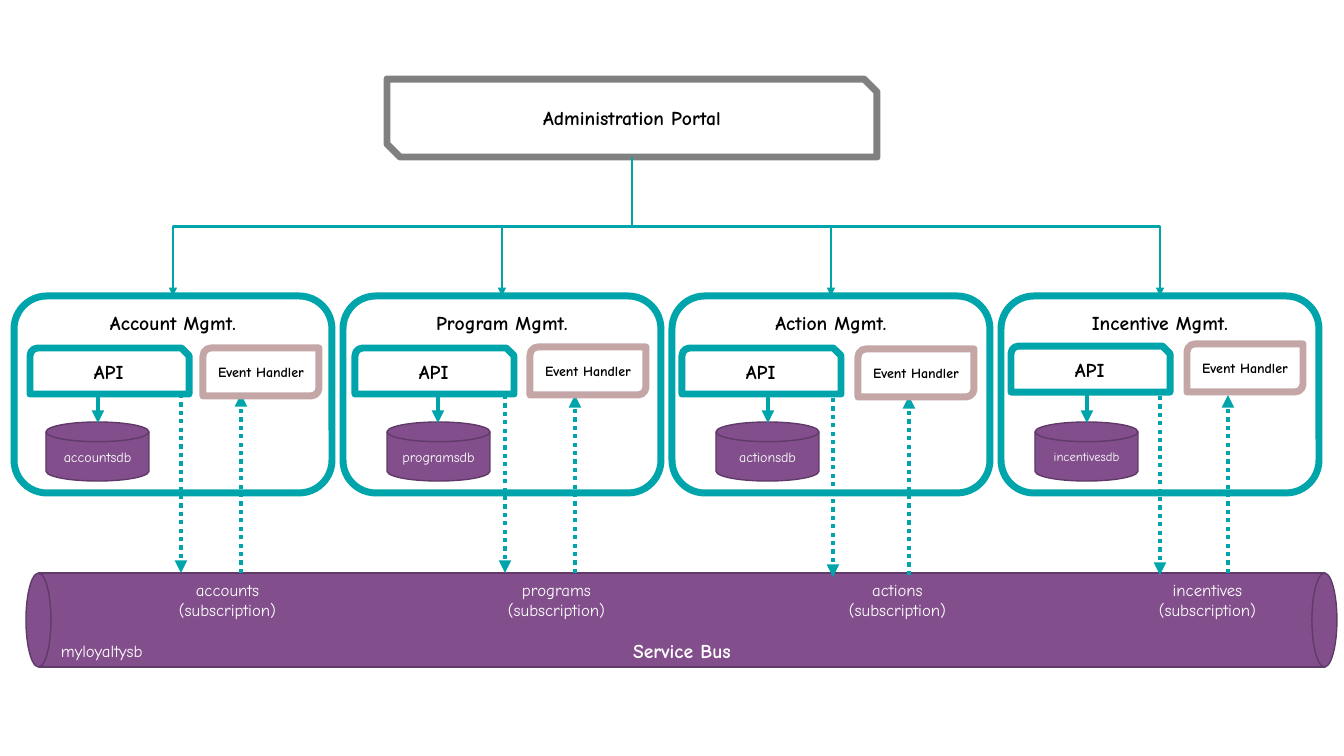
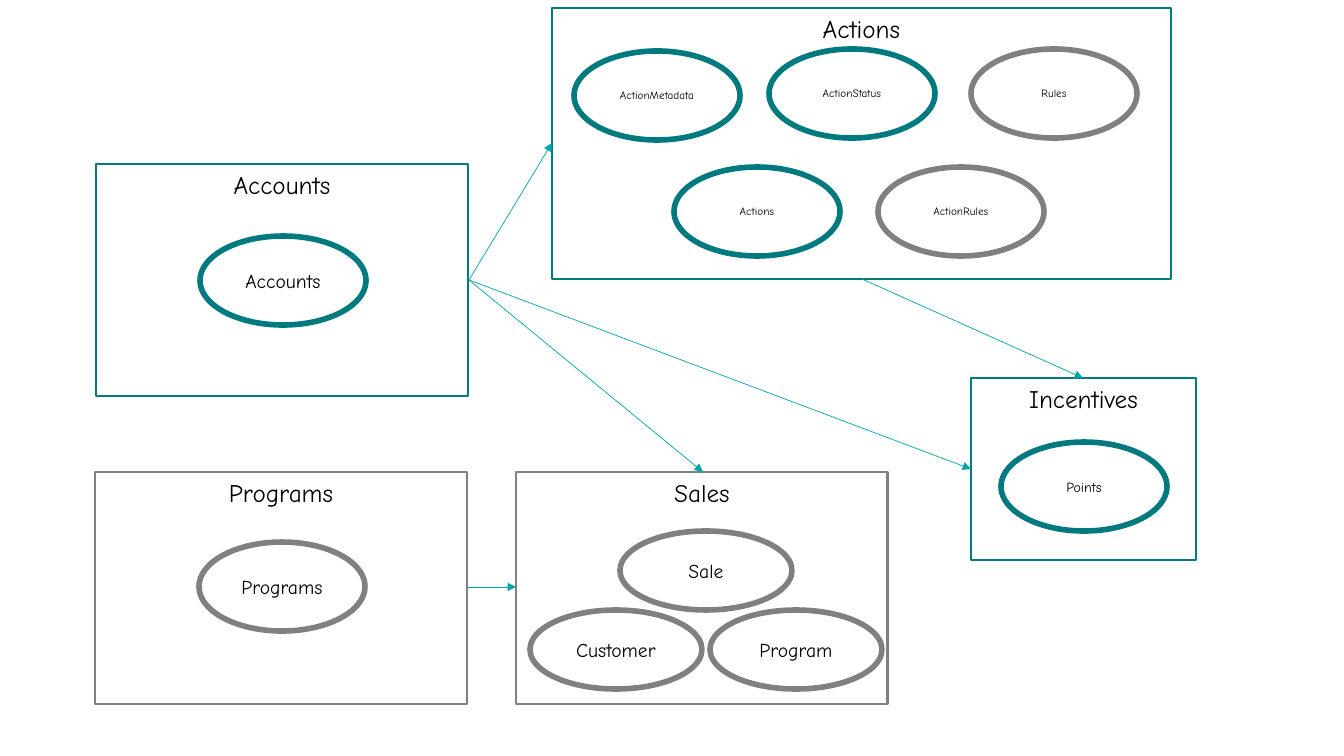
from lxml.etree import SubElement
from pptx import Presentation
from pptx.dml.color import RGBColor
from pptx.enum.dml import MSO_LINE
from pptx.enum.shapes import MSO_CONNECTOR, MSO_SHAPE
from pptx.enum.text import MSO_ANCHOR, MSO_AUTO_SIZE, PP_ALIGN
from pptx.oxml.ns import qn
from pptx.util import Emu, Pt

FONT = "Comic Neue"
BLACK, WHITE, GRAY = "000000", "FFFFFF", "808080"
TEAL, FRAME_TEAL, OVAL_TEAL = "00A5AB", "007C80", "007A7F"
PURPLE, PLUM, ROSE = "824F8C", "603A68", "C4A6A6"


def px(length):
    """Convert pixels to EMU."""
    return Emu(round(length * 914400 / 100.8))


def color(value):
    """Convert a hex string to a colour."""
    return RGBColor.from_string(value)


class Diagram:
    """Hold the deck, its style and the current page."""

    def __init__(self):
        """Start an empty widescreen deck."""
        self.deck = Presentation()
        self.deck.slide_width, self.deck.slide_height = px(1344), px(756)
        self.page = None

    def new_page(self):
        """Add a blank page and make it current."""
        self.page = self.deck.slides.add_slide(self.deck.slide_layouts[6])

    def set_text(self, frame, text, size, ink, bold=False, align=PP_ALIGN.CENTER):
        """Fill a text frame with one paragraph per line."""
        for index, words in enumerate(text.split("\n")):
            para = frame.add_paragraph() if index else frame.paragraphs[0]
            para.text = words
            para.alignment = align
            para.font.name, para.font.size = FONT, Pt(size)
            para.font.bold = bold
            para.font.color.rgb = color(ink)

    def shape(self, kind, at, line, weight, text="", size=14, fill=None,
              ink=BLACK, bold=False, anchor=MSO_ANCHOR.MIDDLE):
        """Draw an outlined shape with an optional label."""
        box = self.page.shapes.add_shape(kind, *map(px, at))
        box.shadow.inherit = False
        if fill:
            box.fill.solid()
            box.fill.fore_color.rgb = color(fill)
        else:
            box.fill.background()
        box.line.color.rgb = color(line)
        box.line.width = Pt(weight)
        if text:
            box.text_frame.vertical_anchor = anchor
            self.set_text(box.text_frame, text, size, ink, bold)
        return box

    def label(self, at, text, align=PP_ALIGN.CENTER):
        """Place white free text."""
        frame = self.page.shapes.add_textbox(*map(px, at)).text_frame
        frame.word_wrap = False
        frame.auto_size = MSO_AUTO_SIZE.SHAPE_TO_FIT_TEXT
        self.set_text(frame, text, 12, WHITE, align=align)

    def arrow(self, start, end, weight, dotted=False, kind=MSO_CONNECTOR.STRAIGHT):
        """Draw a teal arrow between two points."""
        link = self.page.shapes.add_connector(kind, *map(px, start + end))
        link.line.color.rgb = color(TEAL)
        link.line.width = Pt(weight)
        if dotted:
            link.line.dash_style = MSO_LINE.ROUND_DOT
        properties = link.element.spPr
        SubElement(properties.find(qn("a:ln")), qn("a:tailEnd"), type="triangle")
        SubElement(properties, qn("a:effectLst"))
        return link

    def branch(self, start, end):
        """Draw an elbow arrow that leaves and arrives vertically."""
        (left, top), (right, bottom) = start, end
        side = 1 if right < left else -1
        center, middle = (left + right) / 2, (top + bottom) / 2
        along, across = side * (bottom - top) / 2, abs(right - left) / 2
        link = self.arrow((center - along, middle - across),
                          (center + along, middle + across), 1.5,
                          kind=MSO_CONNECTOR.ELBOW)
        turn = 90 if side > 0 else 270
        link.element.spPr.find(qn("a:xfrm")).set("rot", str(turn * 60000))

    def service_bus(self):
        """Draw the horizontal cylinder."""
        parts = [self.shape(MSO_SHAPE.RECTANGLE, (39, 573, 1286, 94), PLUM, 1,
                            "Service Bus", fill=PURPLE, ink=WHITE, bold=True,
                            anchor=MSO_ANCHOR.BOTTOM)]
        parts += [self.shape(MSO_SHAPE.OVAL, (left, 573, 25, 94), PLUM, 1,
                             fill=PURPLE) for left in (26, 1312)]
        self.page.shapes.add_group_shape(parts)
        self.label((51, 636, 109, 30), "myloyaltysb", PP_ALIGN.LEFT)

    def service(self, left, name, topic, database, api, handler, publish,
                receive, topic_left):
        """Draw one service with its API, store and bus links."""
        database_left, database_size, store_x = database
        api_left, api_top = api
        self.shape(MSO_SHAPE.ROUNDED_RECTANGLE, (left, 296, 318, 197), TEAL, 5,
                   name, fill=WHITE, bold=True, anchor=MSO_ANCHOR.TOP)
        self.shape(MSO_SHAPE.FLOWCHART_MAGNETIC_DISK, (database_left, 422, 103, 59),
                   PLUM, 1, topic + "db", database_size, PURPLE, WHITE)
        self.arrow((store_x, 394), (store_x, 423), 3)
        for x, start, end in (publish, receive):
            self.arrow((x, start), (x, end), 3, dotted=True)
        self.label((topic_left, 575, 133, 50), topic + "\n(subscription)")
        self.shape(MSO_SHAPE.ROUND_2_DIAG_RECTANGLE, handler + (116, 48), ROSE, 5,
                   "Event Handler", 10, bold=True)
        self.shape(MSO_SHAPE.SNIP_ROUND_RECTANGLE, (api_left, api_top, 159, 46),
                   TEAL, 5, "API", bold=True)

    def frame(self, title, at, line):
        """Draw a titled domain frame."""
        self.shape(MSO_SHAPE.RECTANGLE, at, line, 2, title, 18,
                   anchor=MSO_ANCHOR.TOP)

    def entity(self, name, left, top, line, size=14, extent=(166, 89)):
        """Draw an entity oval."""
        self.shape(MSO_SHAPE.OVAL, (left, top) + extent, line, 4, name, size)


SERVICES = [
    ("Account Mgmt.", "accounts", (46, 10, 98), (30, 348), (203, 348),
     (181, 394, 573), (241, 573, 394), 161),
    ("Program Mgmt.", "programs", (387, 10, 438), (355, 348), (530, 347),
     (505, 395, 573), (575, 573, 395), 490),
    ("Action Mgmt.", "actions", (716, 10, 768), (682, 348), (858, 349),
     (833, 398, 577), (909, 575, 396), 831),
    ("Incentive Mgmt.", "incentives", (1035, 9, 1087), (1011, 346), (1187, 344),
     (1160, 396, 575), (1228, 573, 395), 1141),
]
FRAMES = [
    ("Accounts", (96, 164, 372, 232), FRAME_TEAL),
    ("Sales", (516, 472, 372, 232), GRAY),
    ("Programs", (95, 472, 372, 232), GRAY),
    ("Actions", (552, 8, 619, 271), FRAME_TEAL),
    ("Incentives", (971, 378, 225, 182), FRAME_TEAL),
]
ENTITIES = [
    ("Accounts", 200, 236, OVAL_TEAL),
    ("Programs", 199, 542, GRAY),
    ("ActionMetadata", 574, 51, OVAL_TEAL, 8),
    ("ActionStatus", 769, 49, OVAL_TEAL, 8),
    ("Rules", 971, 49, GRAY, 8),
    ("Actions", 674, 167, OVAL_TEAL, 8),
    ("ActionRules", 878, 167, GRAY, 8),
    ("Points", 1001, 442, OVAL_TEAL, 10),
]
SALES_ENTITIES = [("Customer", 530, 610), ("Program", 710, 610), ("Sale", 620, 531)]
ACCOUNTS_EXIT = (469, 280)
RELATIONS = [
    (ACCOUNTS_EXIT, (552, 143)),
    (ACCOUNTS_EXIT, (703, 472)),
    (ACCOUNTS_EXIT, (971, 469)),
    ((468, 587), (516, 587)),
    ((862, 279), (1083, 378)),
]

diagram = Diagram()
diagram.new_page()
diagram.shape(MSO_SHAPE.SNIP_2_DIAG_RECTANGLE, (387, 79, 490, 78), GRAY, 5,
              "Administration Portal", fill=WHITE, bold=True)
diagram.service_bus()
for column, service in enumerate(SERVICES):
    service_left = 14 + 329 * column
    diagram.service(service_left, *service)
    diagram.branch((632, 157), (service_left + 159, 296))

diagram.new_page()
for domain in FRAMES:
    diagram.frame(*domain)
for entity in ENTITIES:
    diagram.entity(*entity)
for entity in SALES_ENTITIES:
    diagram.entity(*entity, GRAY, extent=(172, 79))
for origin, target in RELATIONS:
    diagram.arrow(origin, target, 0.5)

diagram.deck.save("out.pptx")
